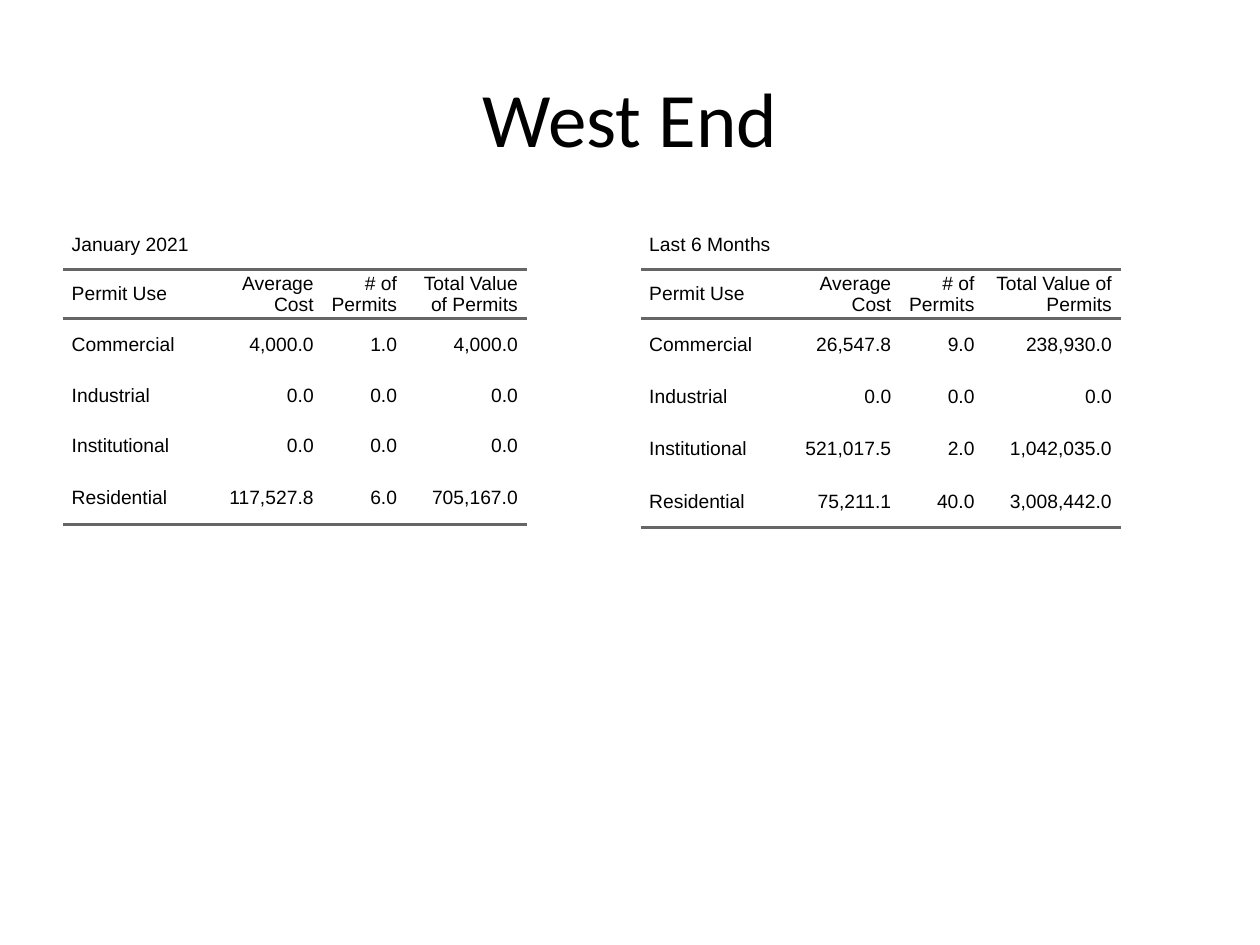
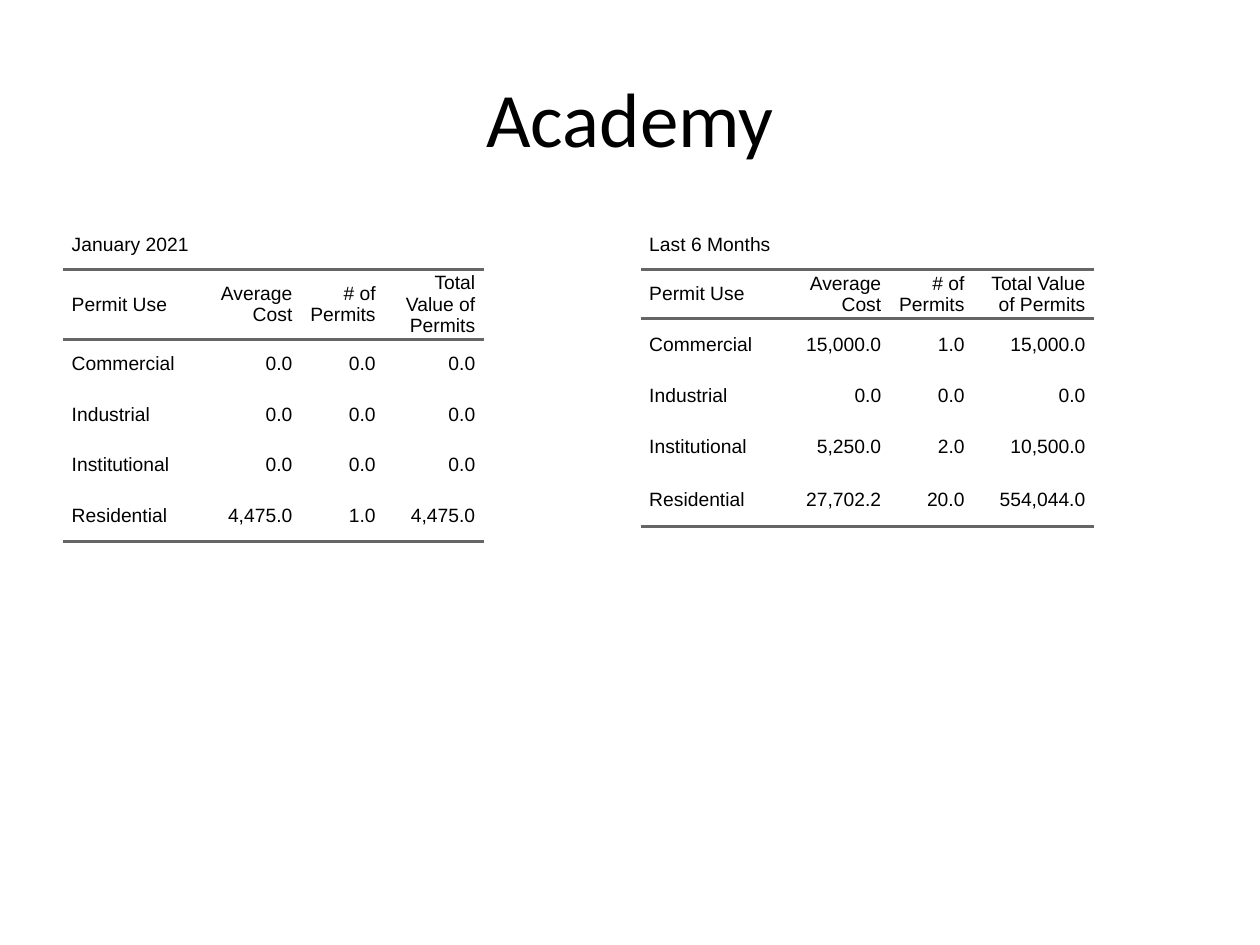
from dataclasses import dataclass

from lxml.etree import SubElement
from pptx import Presentation
from pptx.dml.color import RGBColor
from pptx.enum.text import MSO_ANCHOR as Anchor, PP_ALIGN as Align
from pptx.oxml.ns import qn
from pptx.util import Pt

BLACK = "000000"
RULE_GREY = "666666"
TITLE_FONT = "Calibri"
TABLE_FONT = "Arial"
PLAIN_TABLE_STYLE = "{2D5ABB26-0587-4C30-8999-92F81FD0307C}"

MARGIN = 36
SLIDE_WIDTH, SLIDE_HEIGHT = 720, 540
TABLE_TOP = 126
RIGHT_TABLE_LEFT = 366
CELL_INDENT = 5
USE_WIDTH, COUNT_WIDTH = 79.2, 47.6

HEADINGS = ("Permit Use", "Average Cost", "# of Permits", "Total Value of Permits")
PERMIT_USES = ("Commercial", "Industrial", "Institutional", "Residential")
NONE = ("0.0", "0.0", "0.0")


@dataclass(frozen=True)
class PermitTable:
    period: str
    left: float
    cost_width: float
    total_width: float
    body_heights: tuple[float, ...]
    figures: tuple[tuple[str, str, str], ...]


@dataclass(frozen=True)
class Neighbourhood:
    name: str
    tables: tuple[PermitTable, ...]


NEIGHBOURHOODS = (
    Neighbourhood("West End", (
        PermitTable("January 2021", MARGIN, 69.1, 69.1, (29.5, 28.8, 28.8, 30.2), (
            ("4,000.0", "1.0", "4,000.0"),
            NONE,
            NONE,
            ("117,527.8", "6.0", "705,167.0"),
        )),
        PermitTable("Last 6 Months", RIGHT_TABLE_LEFT, 69.1, 78.5, (30.2, 28.8, 30.2, 30.2), (
            ("26,547.8", "9.0", "238,930.0"),
            NONE,
            ("521,017.5", "2.0", "1,042,035.0"),
            ("75,211.1", "40.0", "3,008,442.0"),
        )),
    )),
    Neighbourhood("Academy", (
        PermitTable("January 2021", MARGIN, 56.9, 56.9, (28.8, 28.8, 28.8, 29.5), (
            NONE,
            NONE,
            NONE,
            ("4,475.0", "1.0", "4,475.0"),
        )),
        PermitTable("Last 6 Months", RIGHT_TABLE_LEFT, 63.4, 69.1, (29.5, 28.8, 30.2, 30.2), (
            ("15,000.0", "1.0", "15,000.0"),
            NONE,
            ("5,250.0", "2.0", "10,500.0"),
            ("27,702.2", "20.0", "554,044.0"),
        )),
    )),
)


def rgb(value: str) -> RGBColor:
    return RGBColor.from_string(value)


def write_text(frame, text: str, *, font: str, size: float, color: str = BLACK,
               align=Align.LEFT, indent: float = 0) -> None:
    """Fill the frame with one paragraph, indented equally on both sides."""
    para = frame.paragraphs[0]
    para.alignment = align
    if indent:
        properties = para._p.get_or_add_pPr()
        for side in ("marL", "marR"):
            properties.set(side, str(Pt(indent)))
    span = para.add_run()
    span.text = text
    span.font.name = font
    span.font.size = Pt(size)
    span.font.color.rgb = rgb(color)


def add_title(page, text: str) -> None:
    box = page.shapes.add_textbox(Pt(MARGIN), Pt(21.6), Pt(SLIDE_WIDTH - 2 * MARGIN), Pt(90))
    box.text_frame.word_wrap = True
    box.text_frame.vertical_anchor = Anchor.MIDDLE
    write_text(box.text_frame, text, font=TITLE_FONT, size=44, align=Align.CENTER)


def add_rule(cell, edge: str) -> None:
    """Draw a grey border on one edge: lnT or lnB, top first."""
    line = SubElement(cell._tc.get_or_add_tcPr(), qn(f"a:{edge}"), w=str(Pt(2)))
    fill = SubElement(line, qn("a:solidFill"))
    SubElement(fill, qn("a:srgbClr"), val=RULE_GREY)


def fill_cell(cell, text: str, align, edges: tuple[str, ...]) -> None:
    cell.margin_left = cell.margin_top = cell.margin_right = cell.margin_bottom = 0
    cell.vertical_anchor = Anchor.MIDDLE
    for edge in edges:
        add_rule(cell, edge)
    cell.fill.background()
    write_text(cell.text_frame, text, font=TABLE_FONT, size=11, align=align, indent=CELL_INDENT)


def add_permit_table(page, permits: PermitTable) -> None:
    rows = [(permits.period,), HEADINGS]
    rows += [(use, *values) for use, values in zip(PERMIT_USES, permits.figures)]
    widths = (USE_WIDTH, permits.cost_width, COUNT_WIDTH, permits.total_width)
    heights = (28.1, 28.1, *permits.body_heights)
    table = page.shapes.add_table(len(rows), len(widths), Pt(permits.left), Pt(TABLE_TOP),
                                  Pt(sum(widths)), Pt(sum(heights))).table
    table.first_row = table.horz_banding = False
    table._tbl.tblPr.find(qn("a:tableStyleId")).text = PLAIN_TABLE_STYLE
    for column, width in zip(table.columns, widths):
        column.width = Pt(width)
    for row, height in zip(table.rows, heights):
        row.height = Pt(height)
    table.cell(0, 0).merge(table.cell(0, len(widths) - 1))

    edges_by_row = {1: ("lnT", "lnB"), len(rows) - 1: ("lnB",)}
    for row_index, texts in enumerate(rows):
        for column_index, text in enumerate(texts):
            align = Align.RIGHT if column_index else Align.LEFT
            fill_cell(table.cell(row_index, column_index), text, align,
                      edges_by_row.get(row_index, ()))


def main() -> None:
    deck = Presentation()
    deck.slide_width, deck.slide_height = Pt(SLIDE_WIDTH), Pt(SLIDE_HEIGHT)
    for neighbourhood in NEIGHBOURHOODS:
        page = deck.slides.add_slide(deck.slide_layouts[6])
        for permits in neighbourhood.tables:
            add_permit_table(page, permits)
        add_title(page, neighbourhood.name)
    deck.save("out.pptx")


if __name__ == "__main__":
    main()
